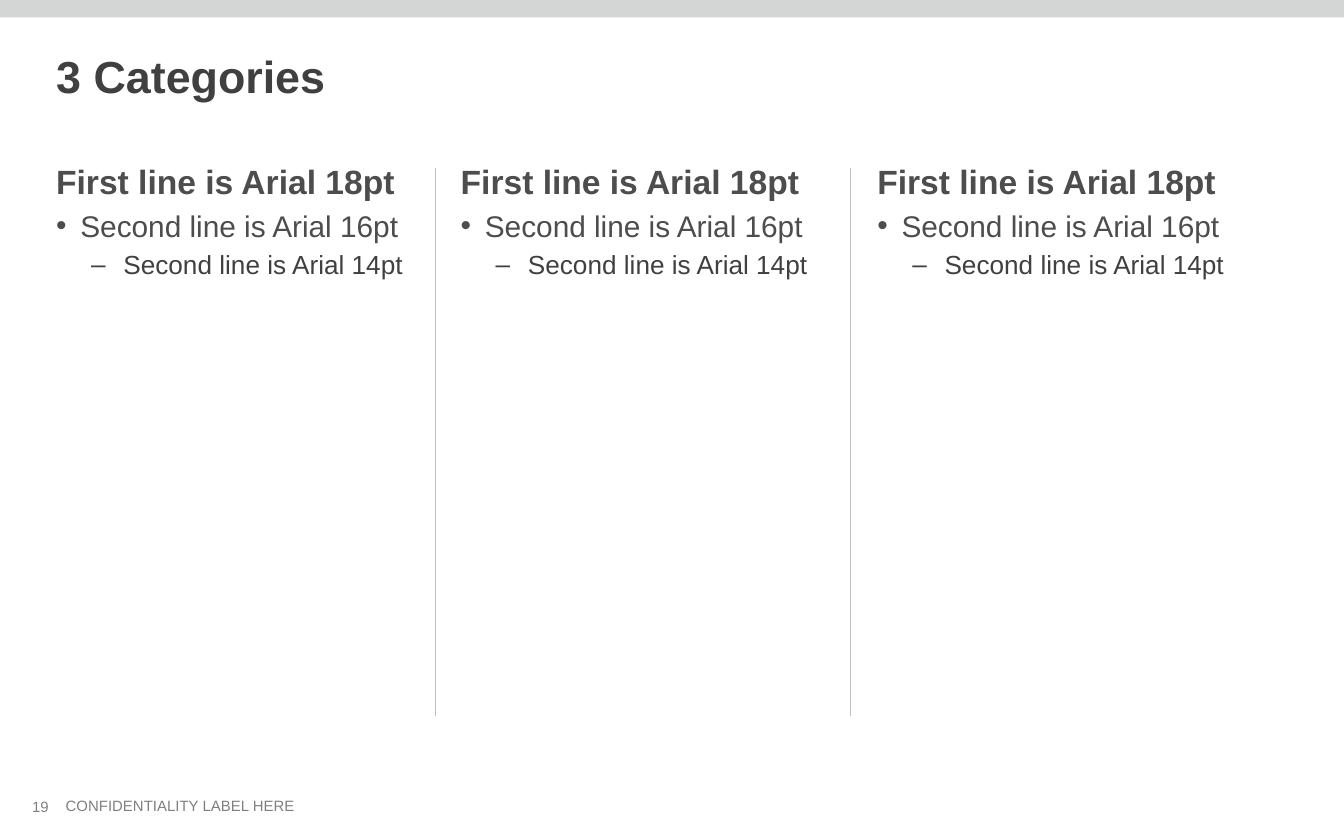
from lxml.etree import SubElement as sub
from pptx import Presentation
from pptx.dml.color import RGBColor
from pptx.enum.shapes import MSO_CONNECTOR as Conn, MSO_SHAPE as Shape
from pptx.enum.text import MSO_ANCHOR as Anchor, MSO_AUTO_SIZE as Fit
from pptx.oxml.ns import qn
from pptx.util import Inches, Pt

FONT = "Arial"
DARK = RGBColor(0x40, 0x40, 0x40)
BODY = RGBColor(0x4D, 0x4D, 0x4D)
GRAY = RGBColor(0x80, 0x80, 0x80)
RULE = RGBColor(0xBF, 0xBF, 0xBF)
BAND = RGBColor(0xD4, 0xD6, 0xD5)

COLS = (0.32, 3.33, 6.43)
RULES = (3.24, 6.33)
LINES = (
    ("First line is Arial 18pt", 18, BODY, True, None),
    ("Second line is Arial 16pt", 16, BODY, False, ("•", 0.18, -0.18)),
    ("Second line is Arial 14pt", 14, DARK, False, ("–", 0.5, -0.24)),
)


def add_box(slide, x, y, w, h, wrap=True, fit=Fit.SHAPE_TO_FIT_TEXT):
    box = slide.shapes.add_textbox(Inches(x), Inches(y), Inches(w), Inches(h))
    frame = box.text_frame
    frame.word_wrap = wrap
    frame.auto_size = fit
    return frame


def set_text(para, text, size, color, bold=False):
    para.text = text
    font = para.runs[0].font
    font.name = FONT
    font.size = Pt(size)
    font.bold = bold
    font.color.rgb = color


def set_bullet(para, mark, left, hang):
    para.level = 1
    props = para._p.get_or_add_pPr()
    props.set("marL", str(Inches(left)))
    props.set("indent", str(Inches(hang)))
    sub(props, qn("a:buFont"), typeface=FONT)
    sub(props, qn("a:buChar"), char=mark)


def add_column(slide, x):
    frame = add_box(slide, x, 1.15, 2.9, 1.01)
    for i, (text, size, color, bold, bullet) in enumerate(LINES):
        para = frame.add_paragraph() if i else frame.paragraphs[0]
        set_text(para, text, size, color, bold)
        para.space_before = Pt(size * 0.2)
        if bullet:
            set_bullet(para, *bullet)


def add_rule(slide, x):
    rule = slide.shapes.add_connector(
        Conn.STRAIGHT, Inches(x), Inches(1.25), Inches(x), Inches(5.33))
    rule.line.color.rgb = RULE
    rule.line.width = Pt(0.75)
    sub(rule._element.spPr, qn("a:effectLst"))


def add_band(slide, width):
    band = slide.shapes.add_shape(Shape.RECTANGLE, 0, 0, width, Inches(0.13))
    band.shadow.inherit = False
    band.fill.solid()
    band.fill.fore_color.rgb = BAND
    band.line.fill.background()


def add_footer(slide):
    label = add_box(slide, 0.39, 5.88, 1.93, 0.24, wrap=False)
    set_text(label.paragraphs[0], "CONFIDENTIALITY LABEL HERE", 8, GRAY)
    number = add_box(slide, 0.14, 5.88, 0.36, 0.24, fit=Fit.NONE)
    number.vertical_anchor = Anchor.MIDDLE
    set_text(number.paragraphs[0], "19", 8, GRAY)


def main():
    deck = Presentation()
    deck.slide_width = Inches(10)
    deck.slide_height = Inches(6.25)
    slide = deck.slides.add_slide(deck.slide_layouts[6])
    add_band(slide, deck.slide_width)
    title = add_box(slide, 0.32, 0.31, 9.32, 0.5)
    set_text(title.paragraphs[0], "3 Categories", 24, DARK, True)
    for x in COLS:
        add_column(slide, x)
    for x in RULES:
        add_rule(slide, x)
    add_footer(slide)
    deck.save("out.pptx")


if __name__ == "__main__":
    main()
